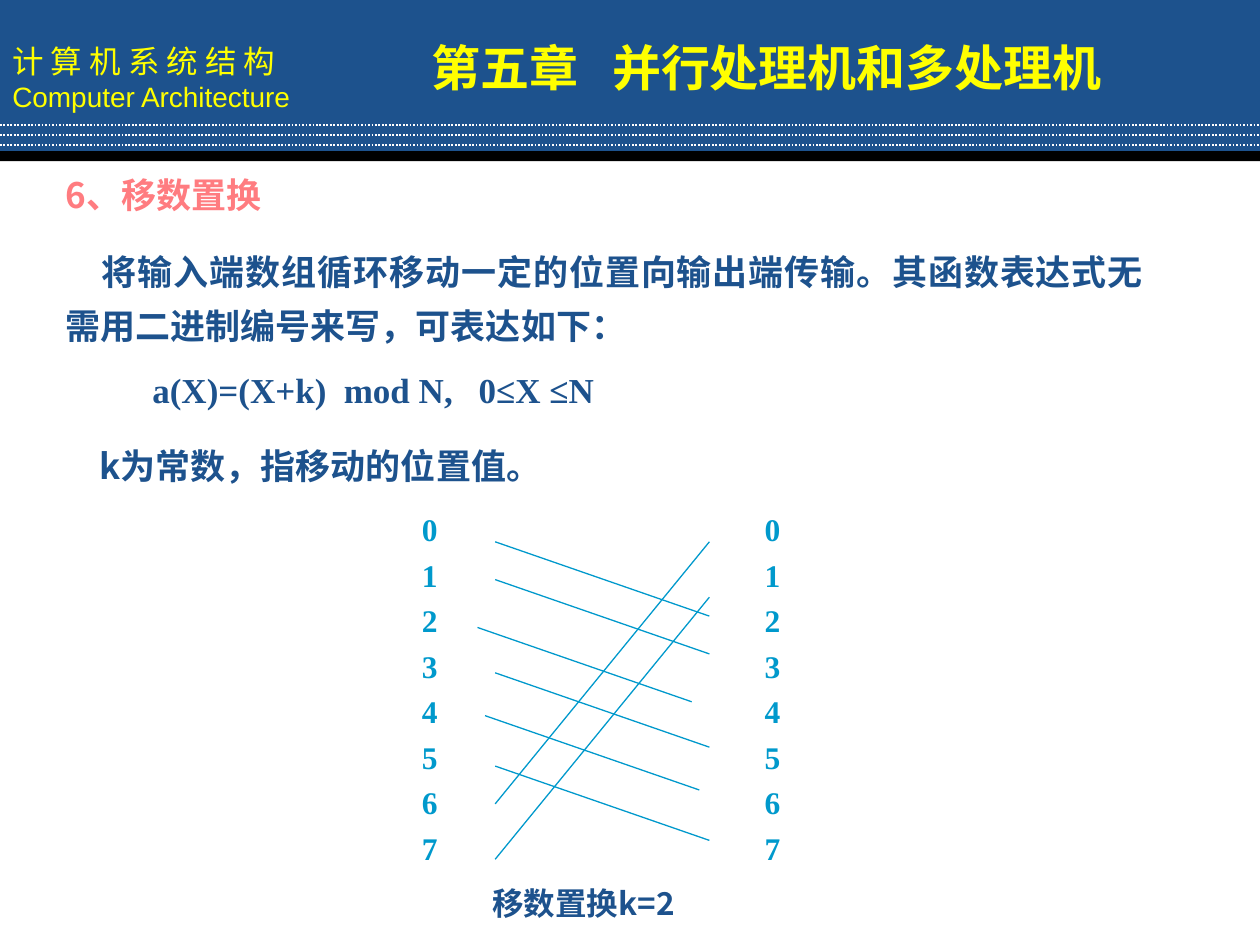
from lxml import etree
from pptx import Presentation
from pptx.dml.color import RGBColor
from pptx.enum import dml, shapes, text
from pptx.oxml.ns import qn
from pptx.util import Inches, Pt

NAVY, YELLOW, CORAL, CYAN = "1D528D", "FFFF00", "FF7C80", "0099CC"
WHITE, BLACK = "FFFFFF", "000000"
CJK, SERIF, SANS = "Noto Sans CJK SC", "Times New Roman", "Arial"
JUSTIFY = text.PP_ALIGN.JUSTIFY

COURSE = [
    ("计 算 机 系 统 结 构", dict(size=18, color=YELLOW)),
    ("Computer Architecture", dict(size=16, color=YELLOW, font=SANS)),
]
CHAPTER = [("第五章\t并行处理机和多处理机",
            dict(size=28, color=YELLOW, bold=True, tabs=[1.43]))]
BODY_FORMAT = dict(size=20, color=NAVY, bold=True, align=JUSTIFY)
BODY = [
    ("6、移数置换", BODY_FORMAT | dict(color=CORAL)),
    ("将输入端数组循环移动一定的位置向输出端传输。其函数表达式无需用二进制编号来写，可表达如下：",
     BODY_FORMAT | dict(indent=0.29, before=12.5, spacing=1.3)),
    ("\ta(X)=(X+k)\tmod N,\t0≤X ≤N",
     BODY_FORMAT | dict(font=SERIF, before=12.5, tabs=[0.69, 2.21, 3.28])),
    ("k为常数，指移动的位置值。",
     BODY_FORMAT | dict(indent=0.27, before=19.5, align=None)),
]
CAPTION = [("移数置换k=2", dict(size=18, color=NAVY, bold=True, align=JUSTIFY))]

RULES = [0.99, 1.07, 1.15]
NODE_COUNT, NODE_TOP, NODE_STEP = 8, 4.0, 0.361
NODE_COLUMNS = [3.25, 5.97]
LINK_WIDTH, SHIFT_DROP, WRAP_RISE = 1.7, 0.59, 2.08
SHIFT_STARTS = [(3.93, 4.3), (3.93, 4.6), (3.79, 4.98),
                (3.93, 5.34), (3.85, 5.68), (3.93, 6.08)]
WRAP_STARTS = [(3.93, 6.38), (3.93, 6.82)]


def rgb(color):
    return RGBColor.from_string(color)


def add_paragraph(paragraph, content, size, color, font=CJK, bold=False,
                  align=None, indent=0, before=0, spacing=None, tabs=()):
    properties = paragraph._p.get_or_add_pPr()
    if indent:
        properties.set("indent", str(Inches(indent)))
    if tabs:
        tab_list = etree.SubElement(properties, qn("a:tabLst"))
        for position in tabs:
            etree.SubElement(tab_list, qn("a:tab"),
                             pos=str(Inches(position)), algn="l")
    paragraph.alignment = align
    paragraph.space_before = Pt(before)
    if spacing:
        paragraph.line_spacing = spacing
    run = paragraph.add_run()
    run.text = content
    run.font.size = Pt(size)
    run.font.bold = bold
    run.font.color.rgb = rgb(color)
    run.font.name = font
    etree.SubElement(run._r.get_or_add_rPr(), qn("a:ea"), typeface=font)


def write(shape, paragraphs, anchor=text.MSO_ANCHOR.TOP):
    frame = shape.text_frame
    frame.word_wrap = True
    frame.vertical_anchor = anchor
    for number, (content, style) in enumerate(paragraphs):
        paragraph = frame.add_paragraph() if number else frame.paragraphs[0]
        add_paragraph(paragraph, content, **({"align": text.PP_ALIGN.LEFT} | style))


def add_text(slide, left, top, width, height, paragraphs):
    box = slide.shapes.add_textbox(Inches(left), Inches(top),
                                   Inches(width), Inches(height))
    write(box, paragraphs)


def add_band(slide, top, height, color):
    band = slide.shapes.add_shape(shapes.MSO_SHAPE.RECTANGLE, 0, Inches(top),
                                  Inches(10), Inches(height))
    band.shadow.inherit = False
    band.fill.solid()
    band.fill.fore_color.rgb = rgb(color)
    band.line.fill.background()
    return band


def add_line(slide, x1, y1, x2, y2, color, width, dash=None):
    line = slide.shapes.add_connector(
        shapes.MSO_CONNECTOR.STRAIGHT,
        Inches(x1), Inches(y1), Inches(x2), Inches(y2))
    line.line.color.rgb = rgb(color)
    line.line.width = Pt(width)
    if dash:
        line.line.dash_style = dash
    etree.SubElement(line._element.spPr, qn("a:effectLst"))


def add_header(slide):
    write(add_band(slide, 0, 1.23, NAVY), COURSE, text.MSO_ANCHOR.MIDDLE)
    add_band(slide, 1.2, 0.08, BLACK)
    for y in RULES:
        add_line(slide, 0, y, 10, y, WHITE, 1, dml.MSO_LINE.ROUND_DOT)
    add_text(slide, 3.33, 0.25, 6.42, 0.57, CHAPTER)


def add_permutation(slide):
    node_format = dict(size=18, color=CYAN, font=SERIF, bold=True, align=JUSTIFY)
    for left in NODE_COLUMNS:
        for node in range(NODE_COUNT):
            add_text(slide, left, NODE_TOP + node * NODE_STEP, 1.03, 0.45,
                     [(str(node), node_format)])
    for starts, change in ((SHIFT_STARTS, SHIFT_DROP), (WRAP_STARTS, -WRAP_RISE)):
        for x, y in starts:
            add_line(slide, x, y, x + LINK_WIDTH, y + change, CYAN, 0.75)
    add_text(slide, 3.81, 6.97, 3.19, 0.45, CAPTION)


def main():
    presentation = Presentation()
    presentation.slide_width = Inches(10)
    presentation.slide_height = Inches(7.5)
    slide = presentation.slides.add_slide(presentation.slide_layouts[6])
    add_header(slide)
    add_text(slide, 0.42, 1.33, 8.75, 2.59, BODY)
    add_permutation(slide)
    presentation.save("out.pptx")


if __name__ == "__main__":
    main()
